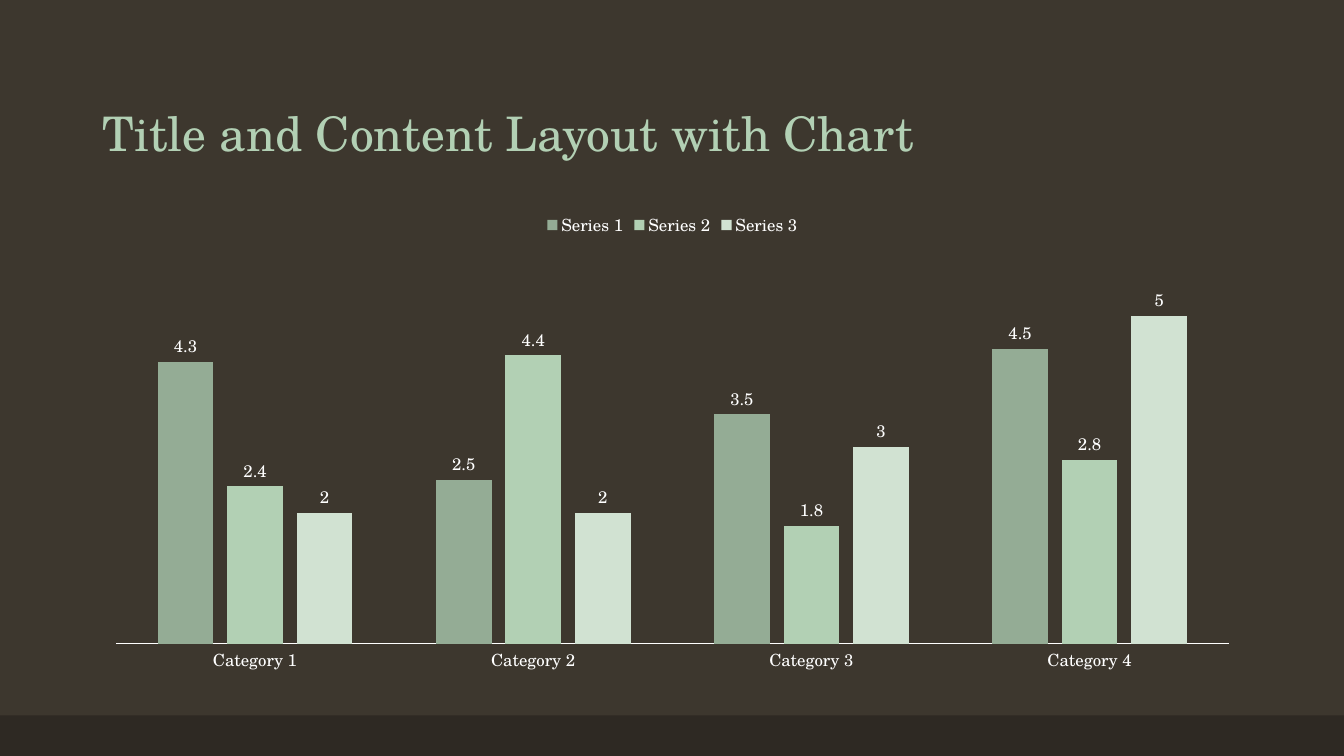
from pptx import Presentation
from pptx.chart.data import CategoryChartData
from pptx.dml.color import RGBColor
from pptx.enum.chart import XL_CHART_TYPE, XL_LABEL_POSITION, XL_LEGEND_POSITION, XL_TICK_MARK
from pptx.enum.shapes import MSO_SHAPE
from pptx.enum.text import MSO_ANCHOR
from pptx.util import Cm, Pt

WIDE, HIGH = 33.87, 19.05
LEFT, SPAN = 2.34, 29.21
FOOT = 1.02
GROUPS = ["Category 1", "Category 2", "Category 3", "Category 4"]
SERIES = [
    ("Series 1", (4.3, 2.5, 3.5, 4.5), "94AC95"),
    ("Series 2", (2.4, 4.4, 1.8, 2.8), "B2D0B4"),
    ("Series 3", (2, 2, 3, 5), "D1E2D2"),
]


def paint(fill, code):
    fill.solid()
    fill.fore_color.rgb = RGBColor.from_string(code)


def put(item, style):
    for name, value in style.items():
        setattr(item, name, value)


class Deck:
    """Holds the style and the current slide, and adds elements to it."""

    face = "TeX Gyre Schola"
    back, band, mint, white = "3D372E", "2E2923", "B2D0B4", "FFFFFF"

    def __init__(self, show):
        self.slide = show.slides.add_slide(show.slide_layouts[6])
        paint(self.slide.background.fill, self.back)

    def font(self, font, size, code):
        put(font, {"name": self.face, "size": Pt(size), "bold": False})
        paint(font.fill, code)

    def bar(self, *box):
        shape = self.slide.shapes.add_shape(MSO_SHAPE.RECTANGLE, *map(Cm, box))
        shape.shadow.inherit = False
        paint(shape.fill, self.band)
        shape.line.fill.background()

    def title(self, text, *box):
        frame = self.slide.shapes.add_textbox(*map(Cm, box)).text_frame
        put(frame, {"word_wrap": True, "vertical_anchor": MSO_ANCHOR.BOTTOM})
        line = frame.paragraphs[0]
        line.line_spacing = 0.9
        run = line.add_run()
        run.text = text
        self.font(run.font, 34, self.mint)

    def chart(self, groups, series, *box):
        data = CategoryChartData(number_format="General")
        data.categories = groups
        for name, values, _ in series:
            data.add_series(name, values)
        chart = self.slide.shapes.add_chart(
            XL_CHART_TYPE.COLUMN_CLUSTERED, *map(Cm, box), data).chart
        put(chart, {"has_title": False, "has_legend": True})
        self.font(chart.font, 10, self.white)
        put(chart.legend, {"position": XL_LEGEND_POSITION.TOP, "include_in_layout": False})
        self.font(chart.legend.font, 12, self.white)
        self.axes(chart)
        plot = chart.plots[0]
        put(plot, {"gap_width": 150, "overlap": -25, "vary_by_categories": False})
        for bars, (_, _, code) in zip(plot.series, series):
            paint(bars.format.fill, code)
            tags = bars.data_labels
            put(tags, {"show_value": True, "position": XL_LABEL_POSITION.OUTSIDE_END})
            self.font(tags.font, 12, self.white)

    def axes(self, chart):
        base = chart.category_axis
        plain = {"has_major_gridlines": False, "major_tick_mark": XL_TICK_MARK.NONE,
                 "minor_tick_mark": XL_TICK_MARK.NONE}
        put(base, plain)
        put(chart.value_axis, plain | {"visible": False, "minimum_scale": 0, "maximum_scale": 6})
        self.font(base.tick_labels.font, 12, self.white)
        base.format.line.width = Pt(0.75)
        paint(base.format.line.fill, self.white)


def main():
    show = Presentation()
    put(show, {"slide_width": Cm(WIDE), "slide_height": Cm(HIGH)})
    deck = Deck(show)
    deck.bar(0, HIGH - FOOT, WIDE, FOOT)
    deck.title("Title and Content Layout with Chart", LEFT, 1.02, SPAN, 3.18)
    deck.chart(GROUPS, SERIES, LEFT, 5.08, SPAN, 12.09)
    show.save("out.pptx")


if __name__ == "__main__":
    main()
